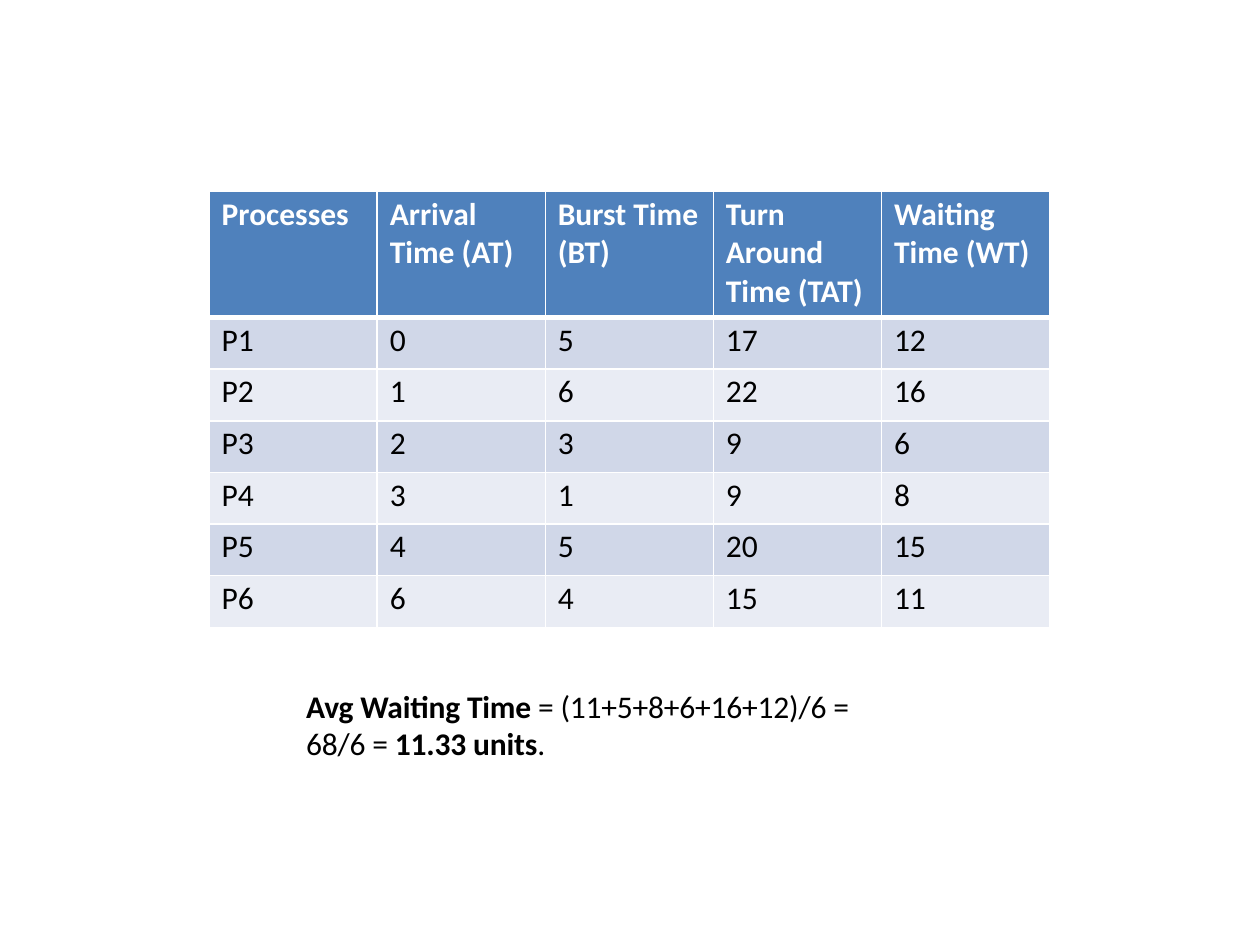
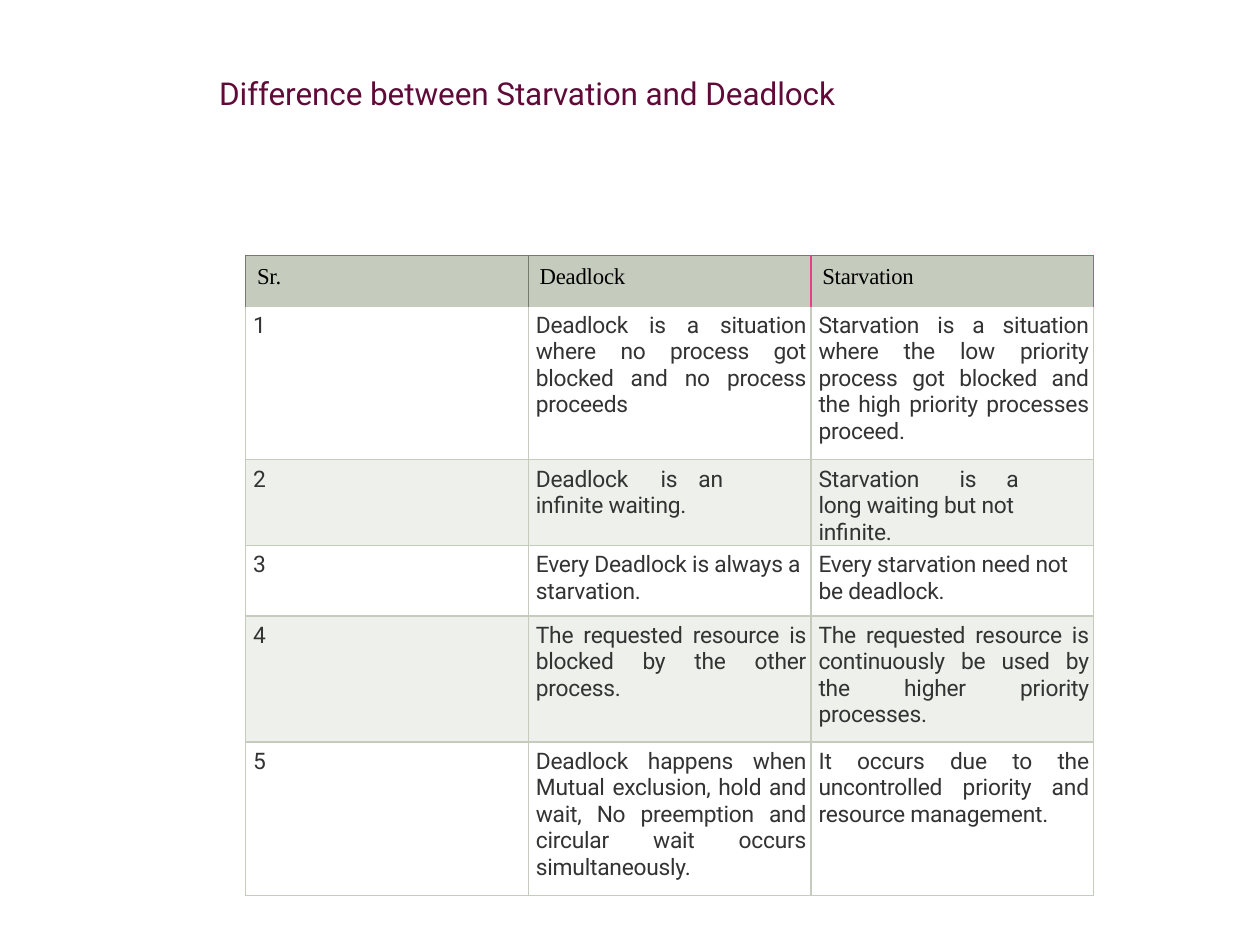
from lxml import etree
from pptx import Presentation
from pptx.dml.color import RGBColor
from pptx.enum.text import MSO_ANCHOR, MSO_AUTO_SIZE, PP_ALIGN
from pptx.oxml.ns import qn
from pptx.util import Inches, Pt

BLANK, TITLE_ONLY = 6, 5
BLACK, WHITE = "000000", "FFFFFF"
HEADER_BLUE, BLUE_BANDS = "4F81BC", ("D0D7E8", "E9ECF4")
SAGE, SAGE_BAND, SAGE_DARK, PINK = "C6CCBD", "EEF0EB", "757A6C", "EF3C8A"
BODY_GREY, TITLE_PLUM = "333333", "600A38"

SCHEDULE = [
    ["Processes", "Arrival\nTime (AT)", "Burst Time\n(BT)",
     "Turn Around Time (TAT)", "Waiting\nTime (WT)"],
    ["P1", "0", "5", "17", "12"],
    ["P2", "1", "6", "22", "16"],
    ["P3", "2", "3", "9", "6"],
    ["P4", "3", "1", "9", "8"],
    ["P5", "4", "5", "20", "15"],
    ["P6", "6", "4", "15", "11"],
]
AVERAGE = [
    [("Avg Waiting Time", True), (" = (11+5+8+6+16+12)/6 =", False)],
    [("68/6 = ", False), ("11.33 units", True), (".", False)],
]
DIFFERENCES = [
    ["Sr.", "Deadlock", "Starvation"],
    ["1", "Deadlock is a situation where no process got blocked and no process proceeds",
     "Starvation is a situation where the low priority process got blocked and "
     "the high priority processes proceed."],
    ["2", "Deadlock\tis\tan\tinfinite waiting.",
     "Starvation\tis\ta\tlong waiting but not infinite."],
    ["3", "Every Deadlock is always a starvation.",
     "Every starvation need not be deadlock."],
    ["4", "The requested resource is blocked by the other process.",
     "The requested resource is continuously be used by the higher priority processes."],
    ["5", "Deadlock happens when Mutual exclusion, hold and wait, No preemption "
     "and circular wait occurs simultaneously.",
     "It occurs due to the uncontrolled priority and resource management."],
]
TAB_STOPS = {1: (0.99, 1.29, 1.66), 2: (1.12, 1.49, 1.84)}
JUSTIFIED_ROWS = (1, 4, 5)


def rgb(value):
    """Turn a hex string into a colour."""
    return RGBColor.from_string(value)


def set_insets(frame, left=0, top=0, right=0, bottom=0):
    """Set the inner margins of a text frame or cell, in inches."""
    frame.margin_left, frame.margin_top = Inches(left), Inches(top)
    frame.margin_right, frame.margin_bottom = Inches(right), Inches(bottom)


def style_span(span, font, size, color, bold=False, spacing=0):
    """Format one run; spacing is in hundredths of a point."""
    span.font.name, span.font.size, span.font.bold = font, Pt(size), bold
    span.font.color.rgb = rgb(color)
    if spacing:
        span.font._element.set("spc", str(spacing))


def style_frame(frame, *style, **options):
    """Format every run in a text frame."""
    for para in frame.paragraphs:
        for span in para.runs:
            style_span(span, *style, **options)


def add_tabs(para, stops):
    """Add left tab stops, in inches, to a paragraph."""
    tab_list = etree.SubElement(para._p.get_or_add_pPr(), qn("a:tabLst"))
    for stop in stops:
        etree.SubElement(tab_list, qn("a:tab"), pos=str(Inches(stop)), algn="l")


def paint_cell(cell, fill, borders):
    """Draw the left, right, top and bottom borders, then the fill."""
    properties = cell._tc.get_or_add_tcPr()
    for side, border in zip("LRTB", borders):
        line = etree.SubElement(properties, qn(f"a:ln{side}"))
        if border:
            color, width = border
            line.set("w", str(Pt(width)))
            solid = etree.SubElement(line, qn("a:solidFill"))
            etree.SubElement(solid, qn("a:srgbClr"), val=color)
        else:
            etree.SubElement(line, qn("a:noFill"))
    if fill:
        cell.fill.solid()
        cell.fill.fore_color.rgb = rgb(fill)
    else:
        cell.fill.background()


def add_grid(page, box, rows, heights, fill_cell):
    """Add a table with equal columns and let fill_cell format each cell."""
    grid = page.shapes.add_table(len(rows), len(rows[0]), *map(Inches, box)).table
    grid.first_row = grid.horz_banding = False
    for column in grid.columns:
        column.width = Inches(box[2] / len(rows[0]))
    for row, height in zip(grid.rows, heights):
        row.height = Inches(height)
    for r, texts in enumerate(rows):
        for c, text in enumerate(texts):
            cell = grid.cell(r, c)
            cell.text_frame.text = text
            fill_cell(cell, r, c)


def schedule_cell(cell, r, c):
    """Format a cell of the scheduling table."""
    thin, thick = (WHITE, 1), (WHITE, 3)
    header = r == 0
    paint_cell(cell, HEADER_BLUE if header else BLUE_BANDS[(r - 1) % 2],
               (thin, thin, thick if r == 1 else thin, thick if header else thin))
    set_insets(cell, left=0.1, top=0.03)
    style_frame(cell.text_frame, "Calibri", 18, WHITE if header else BLACK, bold=header)


def difference_cell(cell, r, c):
    """Format a cell of the deadlock and starvation table."""
    if r == 0:
        left = PINK if c == 2 else SAGE_DARK
        right = PINK if c >= 1 else SAGE_DARK
        paint_cell(cell, SAGE, ((left, 0.75), (right, 0.75), (SAGE_DARK, 0.75), None))
        set_insets(cell, left=0.09, top=0.07)
        style_frame(cell.text_frame, "Times New Roman", 13, BLACK, spacing=-10)
        return
    edge = (SAGE, 0.75)
    paint_cell(cell, None if r % 2 else SAGE_BAND,
               (edge, edge, None if r == 1 else edge, edge))
    set_insets(cell, left=0.06, top=0.04 if r == 1 else 0.05, right=0.04)
    para = cell.text_frame.paragraphs[0]
    if c and r in JUSTIFIED_ROWS:
        para.alignment = PP_ALIGN.JUSTIFY
    if c and r == 2:
        add_tabs(para, TAB_STOPS[c])
    style_frame(cell.text_frame, "Roboto", 13, BODY_GREY, spacing=-10)


def add_average(page, box):
    """Add the average waiting time below the table."""
    frame = page.shapes.add_textbox(*map(Inches, box)).text_frame
    frame.word_wrap = True
    set_insets(frame, left=0.01, top=0.01)
    for i, pieces in enumerate(AVERAGE):
        para = frame.add_paragraph() if i else frame.paragraphs[0]
        for text, bold in pieces:
            span = para.add_run()
            span.text = text
            style_span(span, "Calibri", 18, BLACK, bold, spacing=-10)


def set_title(page, box, text):
    """Place and format the title placeholder."""
    title = page.shapes.title
    title.left, title.top, title.width, title.height = map(Inches, box)
    frame = title.text_frame
    frame.text = text
    frame.word_wrap, frame.auto_size = True, MSO_AUTO_SIZE.NONE
    frame.vertical_anchor = MSO_ANCHOR.TOP
    frame.paragraphs[0].alignment = PP_ALIGN.LEFT
    set_insets(frame, left=0.01, top=0.01)
    style_frame(frame, "Roboto", 18, TITLE_PLUM, spacing=-5)


def build_schedule(deck):
    """Build the slide with process times and their average."""
    page = deck.slides.add_slide(deck.slide_layouts[BLANK])
    add_grid(page, (1.66, 1.52, 6.67, 3.45), SCHEDULE, [1] + [0.41] * 6, schedule_cell)
    add_average(page, (2.42, 5.44, 4.41, 0.63))


def build_differences(deck):
    """Build the slide that compares deadlock with starvation."""
    page = deck.slides.add_slide(deck.slide_layouts[TITLE_ONLY])
    set_title(page, (1.73, 0.58, 4.97, 0.33), "Difference between Starvation and Deadlock")
    add_grid(page, (1.95, 2.03, 6.73, 4.96), DIFFERENCES,
             (0.41, 1.21, 0.56, 0.56, 1, 1.22), difference_cell)


def main():
    """Build and save the deck."""
    deck = Presentation()
    deck.slide_width, deck.slide_height = Inches(10), Inches(7.5)
    build_schedule(deck)
    build_differences(deck)
    deck.save("out.pptx")


if __name__ == "__main__":
    main()
